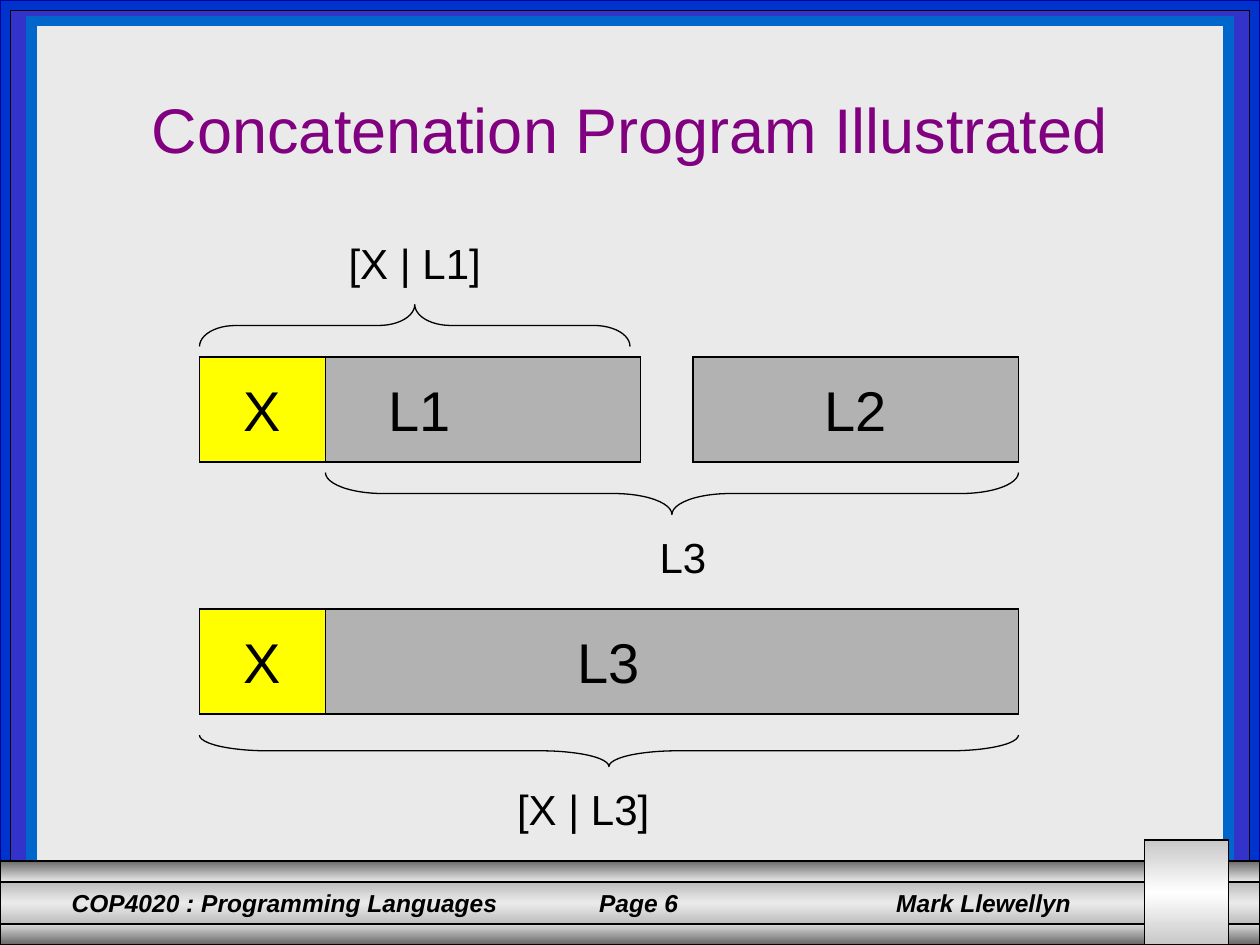
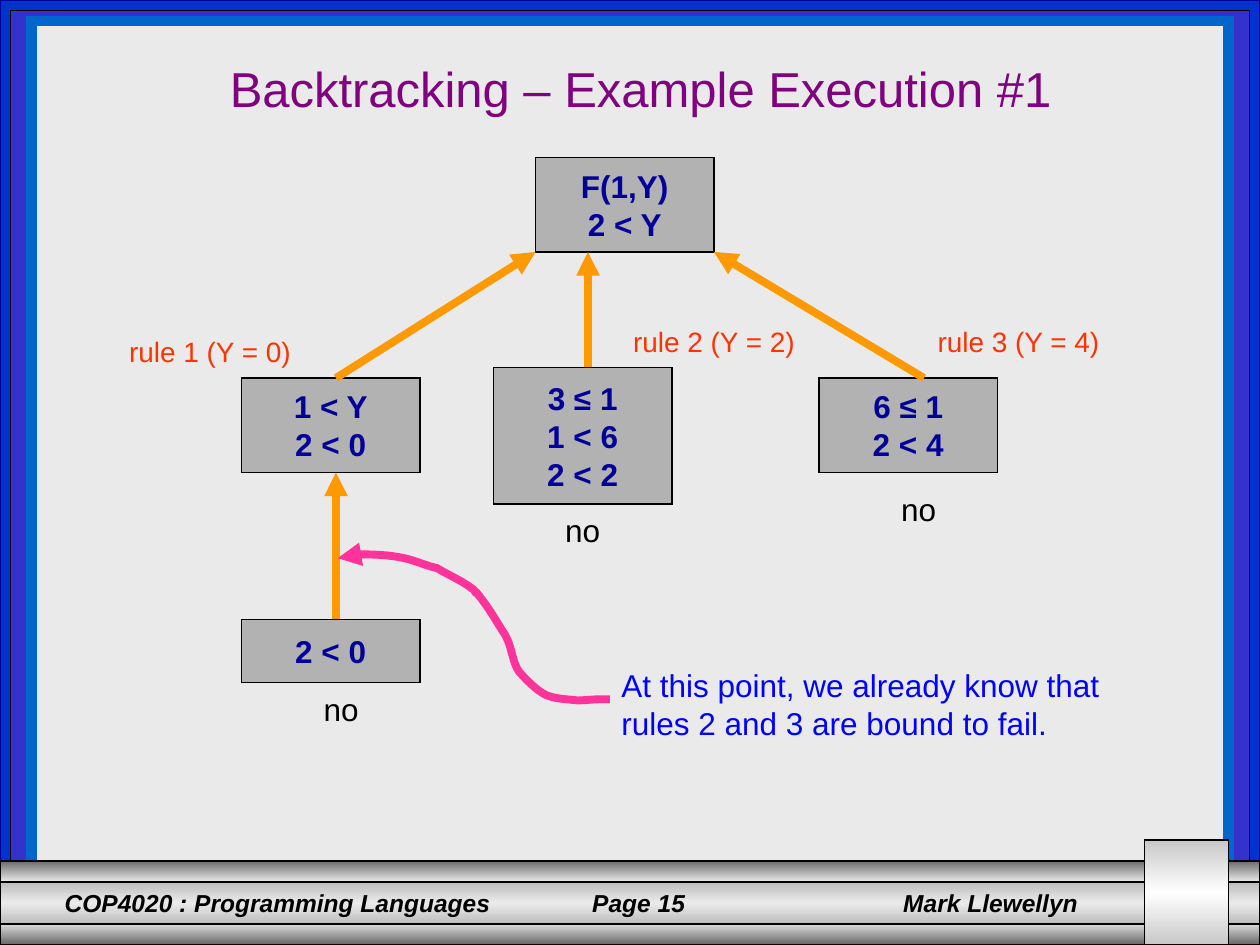
import copy

from lxml import etree
from pptx import Presentation
from pptx.dml.color import RGBColor
from pptx.enum import shapes, text
from pptx.oxml import ns
from pptx.util import Pt

FONT = "Arial"
COLORS = {
    "black": "000000", "navy_line": "000099", "outer_frame": "0033CC",
    "middle_frame": "3333CC", "inner_frame": "0066CC", "panel": "EAEAEA",
    "title": "800080", "list": "B2B2B2", "head": "FFFF00", "goal": "000099",
    "rule": "FF3300", "branch": "FF9900", "remark_arrow": "FF3399", "remark": "0000FF",
}
UPPER_BAND = ["6B6B6B", "EAEAEA"]
FOOTER_BAND = ["BDBDBD", "EAEAEA", "BDBDBD"]
LOWER_BAND = ["DDDDDD", "656565"]
CORNER_BLOCK = ["C8C8C8", "FFFFFF", "C8C8C8"]

REMARK_START = (193, 319)
REMARK_CURVES = [
    [(194.4, 318.2), (196.6, 317.5), (198.7, 317.5)],
    [(199.4, 316.8), (201.6, 316.8), (201.6, 316.8)],
    [(211.7, 316.8), (221, 316.8), (231.1, 319)],
    [(237.6, 320.4), (243.4, 323.3), (249.8, 324.7)],
    [(257, 329), (264.2, 331.9), (270.7, 337)],
    [(275, 343.4), (267.8, 332.6), (275, 342)],
    [(280.1, 348.5), (284.4, 356.4), (288.7, 362.9)],
    [(292.3, 368.6), (293, 379.4), (296.6, 383.8)],
    [(300.2, 388.1), (307.4, 395.3), (312.5, 397.4)],
    [(318.2, 399.6), (324.7, 399.6), (330.5, 400.3)],
    [(343.4, 399.6), (337.7, 399.6), (348.5, 399.6)],
]


def rgb(name):
    return RGBColor.from_string(COLORS[name])


def set_line(line, color, width):
    line.color.rgb = rgb(color)
    line.width = Pt(width)


def add_line_detail(shape, tag, **attributes):
    line = shape._element.spPr.find(ns.qn("a:ln"))
    etree.SubElement(line, ns.qn(f"a:{tag}"), **attributes)


def write(shape, content, size, color, bold=False, italic=False,
          align=text.PP_ALIGN.CENTER, anchor=text.MSO_ANCHOR.MIDDLE, wrap=False):
    frame = shape.text_frame
    frame.word_wrap = wrap
    frame.vertical_anchor = anchor
    frame.text = content
    for paragraph in frame.paragraphs:
        paragraph.alignment = align
        for run in paragraph.runs:
            font = run.font
            font.name, font.size = FONT, Pt(size)
            font.bold, font.italic = bold, italic
            font.color.rgb = rgb(color)


def add_label(slide, left, top, width, height, content, size, color, **style):
    label = slide.shapes.add_textbox(Pt(left), Pt(top), Pt(width), Pt(height))
    write(label, content, size, color, **style)
    return label


def add_box(slide, left, top, width, height, fill=None, line="black", line_width=0.75):
    box = slide.shapes.add_shape(
        shapes.MSO_SHAPE.RECTANGLE, Pt(left), Pt(top), Pt(width), Pt(height))
    box.shadow.inherit = False
    if fill:
        box.fill.solid()
        box.fill.fore_color.rgb = rgb(fill)
    set_line(box.line, line, line_width)
    add_line_detail(box, "miter", lim="800000")
    return box


def add_metal_band(slide, left, top, width, height, tones):
    band = add_box(slide, left, top, width, height)
    band.fill.gradient()
    band.fill.gradient_angle = 270
    stop_list = next(band._element.spPr.iter(ns.qn("a:gsLst")))
    while len(stop_list) < len(tones):
        stop_list.append(copy.deepcopy(stop_list[0]))
    for index, (stop, tone) in enumerate(zip(band.fill.gradient_stops, tones)):
        stop.position = index / (len(tones) - 1)
        stop.color.rgb = RGBColor.from_string(tone)


def add_footer(slide, page):
    edge = 45 - 4 * len(str(page))
    footer = add_label(
        slide, 0, 504, 654, 24.5,
        f"COP4020 : Programming Languages\tPage {page}\tMark Llewellyn", 14, "black",
        bold=True, italic=True, align=text.PP_ALIGN.LEFT,
        anchor=text.MSO_ANCHOR.TOP, wrap=True)
    footer.text_frame.margin_left = Pt(edge)
    footer.text_frame.margin_right = 0
    properties = footer.text_frame.paragraphs[0]._p.get_or_add_pPr()
    tabs = etree.SubElement(properties, ns.qn("a:tabLst"))
    for position, alignment in ((365 - edge, "ctr"), (653 - 2 * edge, "r")):
        etree.SubElement(tabs, ns.qn("a:tab"), pos=str(Pt(position)), algn=alignment)


def add_framed_slide(presentation, page):
    slide = presentation.slides.add_slide(presentation.slide_layouts[6])
    add_box(slide, 0, 0, 720, 504, "outer_frame", "navy_line")
    add_metal_band(slide, 0, 528, 720, 12, LOWER_BAND)
    add_box(slide, 6, 6, 708, 498, "middle_frame", line_width=0.5)
    add_box(slide, 18, 12, 684, 492, "panel", "inner_frame", 6)
    add_metal_band(slide, 0, 492, 720, 12, UPPER_BAND)
    add_metal_band(slide, 0, 504, 720, 24, FOOTER_BAND)
    add_footer(slide, page)
    add_metal_band(slide, 654, 480, 48, 60, CORNER_BLOCK)
    return slide


def add_title(slide, left, top, height, content, size):
    add_label(slide, left, top, 612, height, content, size, "title",
              anchor=text.MSO_ANCHOR.TOP, wrap=True)


def add_list_cell(slide, left, top, width, content, fill="list"):
    write(add_box(slide, left, top, width, 60, fill), content, 32, "black")


def add_brace(slide, left, top, length, depth, rotation):
    middle_x, middle_y = left + length / 2, top + depth / 2
    brace = slide.shapes.add_shape(
        shapes.MSO_SHAPE.LEFT_BRACE, Pt(middle_x - depth / 2),
        Pt(middle_y - length / 2), Pt(depth), Pt(length))
    brace.rotation = rotation
    brace.adjustments[0] = length / 12 / depth
    brace.shadow.inherit = False
    brace.fill.background()
    set_line(brace.line, "black", 0.75)


def add_goal(slide, left, top, height, content):
    write(add_box(slide, left, top, 102, height, "list"), content, 18, "goal", bold=True)


def add_branch(slide, start, end):
    branch = slide.shapes.add_connector(
        shapes.MSO_CONNECTOR.STRAIGHT, *(Pt(value) for value in start + end))
    set_line(branch.line, "branch", 4.5)
    add_line_detail(branch, "tailEnd", type="triangle")
    etree.SubElement(branch._element.spPr, ns.qn("a:effectLst"))


def curve_points(start, curves, steps=6):
    for first, second, end in curves:
        for step in range(1, steps + 1):
            t = step / steps
            s = 1 - t
            yield tuple(
                Pt(s**3 * a + 3 * s * s * t * b + 3 * s * t * t * c + t**3 * d)
                for a, b, c, d in zip(start, first, second, end))
        start = end


def add_remark_arrow(slide):
    builder = slide.shapes.build_freeform(*(Pt(value) for value in REMARK_START))
    builder.add_line_segments(curve_points(REMARK_START, REMARK_CURVES), close=False)
    arrow = builder.convert_to_shape()
    arrow.shadow.inherit = False
    arrow.fill.background()
    set_line(arrow.line, "remark_arrow", 4.5)
    add_line_detail(arrow, "headEnd", type="triangle")


def build_concatenation(presentation):
    slide = add_framed_slide(presentation, 6)
    add_title(slide, 54, 48, 90, "Concatenation Program Illustrated", 36)
    add_list_cell(slide, 114, 204, 252, "L1")
    add_list_cell(slide, 396, 204, 186, "L2")
    add_list_cell(slide, 114, 348, 468, "L3")
    for top in (204, 348):
        add_list_cell(slide, 114, top, 72, "X", "head")
    add_brace(slide, 114, 174, 246, 24, 90)
    add_brace(slide, 186, 270, 396, 24, 270)
    add_brace(slide, 114, 420, 468, 18, 270)
    for left, top, content in (
            (183, 132, "[X | L1]"),
            (336.3, 300, "L3"),
            (279.3, 444, "[X | L3]")):
        add_label(slide, left, top, 108, 36, content, 24, "black")


def build_backtracking(presentation):
    slide = add_framed_slide(presentation, 15)
    add_title(slide, 60, 30, 48, "Backtracking – Example Execution #1", 28)
    for left, top, height, content in (
            (306, 90, 54, "F(1,Y)\n2 < Y"),
            (138, 216, 54, "1 < Y\n2 < 0"),
            (282, 210, 78, "3 ≤ 1\n1 < 6\n2 < 2"),
            (468, 216, 54, "6 ≤ 1\n2 < 4"),
            (138, 354, 36, "2 < 0")):
        add_goal(slide, left, top, height, content)
    for left, top, content in (
            (60, 186, "rule 1 (Y = 0)"),
            (348, 180, "rule 2 (Y = 2)"),
            (522, 180, "rule 3 (Y = 4)")):
        add_label(slide, left, top, 120, 30, content, 16, "rule")
    for left, top in ((174, 390), (312, 288), (504, 276)):
        add_label(slide, left, top, 42, 30, "no", 18, "black")
    for start, end in (
            ((192, 354), (192, 270)),
            ((192, 216), (306, 144)),
            ((336, 210), (336, 144)),
            ((528, 216), (408, 144))):
        add_branch(slide, start, end)
    add_remark_arrow(slide)
    add_label(slide, 348, 354, 300, 96,
              "At this point, we already know that\nrules 2 and 3 are bound to fail.",
              18, "remark", align=text.PP_ALIGN.LEFT, wrap=True)


def main():
    presentation = Presentation()
    presentation.slide_width, presentation.slide_height = Pt(720), Pt(540)
    build_concatenation(presentation)
    build_backtracking(presentation)
    presentation.save("out.pptx")


if __name__ == "__main__":
    main()
